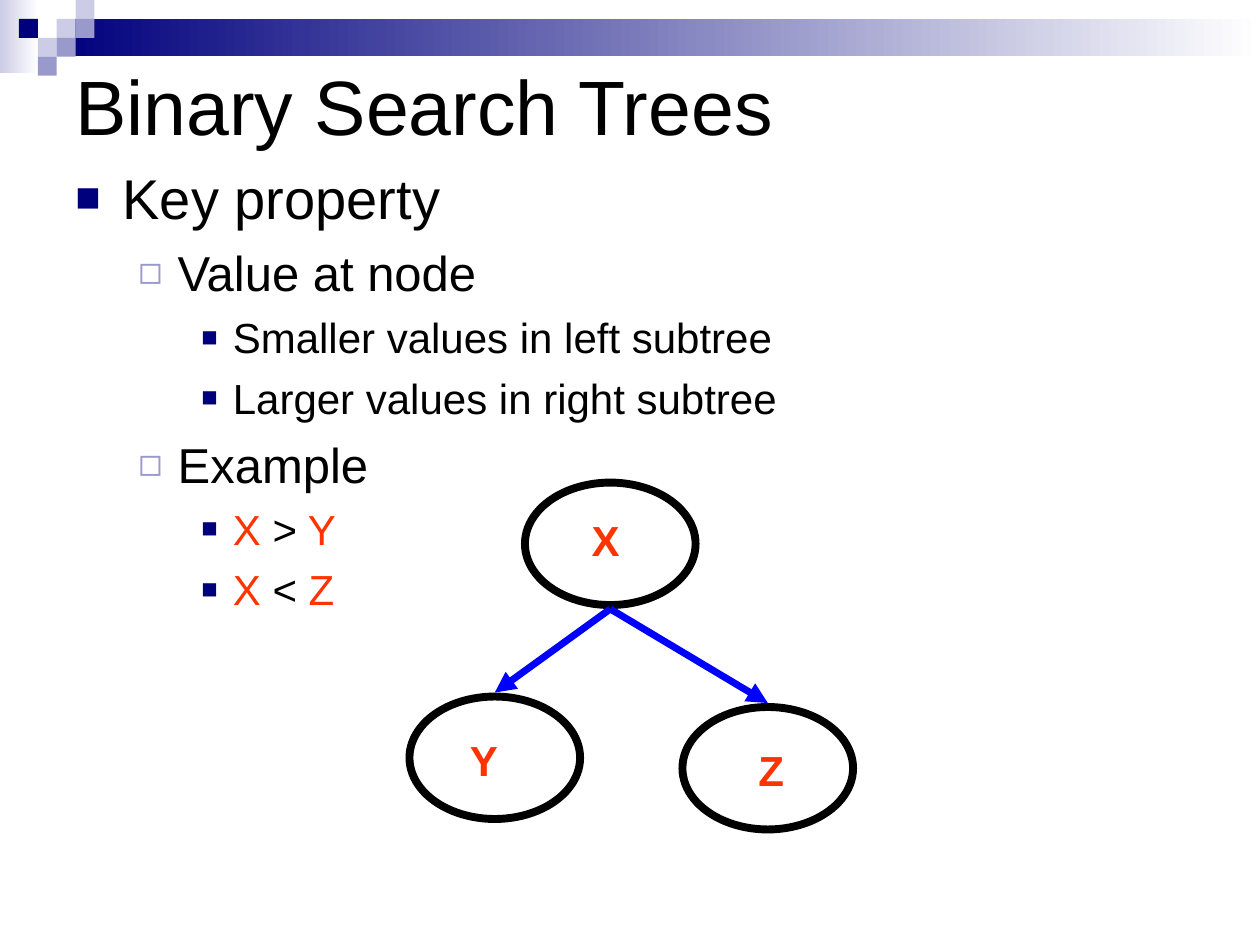
from dataclasses import dataclass

from lxml import etree
from pptx import Presentation
from pptx.dml.color import RGBColor as RGB
from pptx.enum.shapes import MSO_CONNECTOR as CONN, MSO_SHAPE as SHAPE
from pptx.enum.text import MSO_ANCHOR as ANCHOR, MSO_AUTO_SIZE as AUTO, PP_ALIGN as ALIGN
from pptx.oxml.ns import qn
from pptx.util import Pt


@dataclass(frozen=True)
class Theme:
    font: str = "Arial"
    ink: str = "000000"
    paper: str = "FFFFFF"
    navy: str = "00007D"
    mid: str = "9999CC"
    pale: str = "CCCCE6"
    accent: str = "FF3300"
    edge: str = "0000FF"
    title: int = 44
    levels: tuple = (32, 28, 24)
    label: int = 24
    node_line: float = 4.5
    edge_line: float = 4


T = Theme()

# Per level: left margin, hanging indent, bullet, bullet colour, bullet percent
BULLETS = [
    (27, 27, "■", T.navy, 75),
    (58.5, 22.5, "◻", T.mid, 80),
    (90, 18, "■", T.navy, 65),
]
SPACE_BEFORE = 0.24  # share of the type size

OUTLINE = [
    (0, [("Key property", T.ink)]),
    (1, [("Value at node", T.ink)]),
    (2, [("Smaller values in left subtree", T.ink)]),
    (2, [("Larger values in right subtree", T.ink)]),
    (1, [("Example", T.ink)]),
    (2, [("X ", T.accent), (">", T.ink), (" Y", T.accent)]),
    (2, [("X ", T.accent), ("<", T.ink), (" Z", T.accent)]),
]

# Checker squares: column, row, colour
SQUARE = 10.8
CHECKER = [
    (3, 1, T.pale), (4, 0, T.pale), (4, 1, T.mid), (2, 2, T.pale),
    (1, 1, T.navy), (3, 2, T.mid), (2, 3, T.mid),
]

# Tree nodes: left and top of the ellipse, then left, top and width of the label
NODE_W, NODE_H, LABEL_H = 97.5, 70, 36
NODES = {
    "X": ((300, 275.75), (311.75, 290.25, 68.5)),
    "Y": ((234, 398), (252, 416.25, 49)),
    "Z": ((390, 404), (401.75, 422, 77.75)),
}
EDGES = [("X", "Z"), ("X", "Y")]


def add_block(s, x, y, w, h, color, fade_to=None):
    sp = s.shapes.add_shape(SHAPE.RECTANGLE, Pt(x), Pt(y), Pt(w), Pt(h))
    sp.shadow.inherit = False
    sp.line.fill.background()
    if fade_to:
        sp.fill.gradient()
        sp.fill.gradient_angle = 0
        for stop, c in zip(sp.fill.gradient_stops, (color, fade_to)):
            stop.color.rgb = RGB.from_string(c)
    else:
        sp.fill.solid()
        sp.fill.fore_color.rgb = RGB.from_string(color)


def add_box(s, x, y, w, h, anchor=ANCHOR.TOP):
    tf = s.shapes.add_textbox(Pt(x), Pt(y), Pt(w), Pt(h)).text_frame
    tf.word_wrap = True
    tf.vertical_anchor = anchor
    return tf


def add_run(p, text, size, color, bold=False):
    r = p.add_run()
    r.text = text
    r.font.name = T.font
    r.font.size = Pt(size)
    r.font.bold = bold
    r.font.color.rgb = RGB.from_string(color)


def set_bullet(p, level):
    margin, hang, char, color, percent = BULLETS[level]
    pPr = p._p.get_or_add_pPr()
    pPr.set("marL", str(Pt(margin)))
    pPr.set("indent", str(-Pt(hang)))
    clr = etree.SubElement(pPr, qn("a:buClr"))
    etree.SubElement(clr, qn("a:srgbClr"), val=color)
    etree.SubElement(pPr, qn("a:buSzPct"), val=str(percent * 1000))
    etree.SubElement(pPr, qn("a:buFont"), typeface=T.font)
    etree.SubElement(pPr, qn("a:buChar"), char=char)


def add_outline(s, x, y, w, h):
    tf = add_box(s, x, y, w, h)
    for i, (level, runs) in enumerate(OUTLINE):
        p = tf.add_paragraph() if i else tf.paragraphs[0]
        p.level = level
        set_bullet(p, level)
        size = T.levels[level]
        if i:
            p.space_before = Pt(round(size * SPACE_BEFORE, 1))
        for text, color in runs:
            add_run(p, text, size, color)


def add_node(s, x, y):
    sp = s.shapes.add_shape(SHAPE.OVAL, Pt(x), Pt(y), Pt(NODE_W), Pt(NODE_H))
    sp.shadow.inherit = False
    sp.fill.background()
    sp.line.color.rgb = RGB.from_string(T.ink)
    sp.line.width = Pt(T.node_line)


def add_edge(s, parent, child):
    (x1, y1), (x2, y2) = NODES[parent][0], NODES[child][0]
    gap = T.node_line / 2  # start and stop at the outer rim
    ln = s.shapes.add_connector(
        CONN.STRAIGHT, Pt(x1 + NODE_W / 2), Pt(y1 + NODE_H + gap),
        Pt(x2 + NODE_W / 2), Pt(y2 - gap))
    ln.line.color.rgb = RGB.from_string(T.edge)
    ln.line.width = Pt(T.edge_line)
    etree.SubElement(ln.line._get_or_add_ln(), qn("a:tailEnd"), type="triangle")
    etree.SubElement(ln._element.spPr, qn("a:effectLst"))


def add_label(s, text, x, y, w):
    tf = add_box(s, x, y, w, LABEL_H)
    tf.auto_size = AUTO.SHAPE_TO_FIT_TEXT
    p = tf.paragraphs[0]
    p.alignment = ALIGN.CENTER
    add_run(p, text, T.label, T.accent, bold=True)


def main():
    prs = Presentation()
    prs.slide_width, prs.slide_height = Pt(720), Pt(540)
    s = prs.slides.add_slide(prs.slide_layouts[6])

    # Banner
    add_block(s, 0, 0, 22, 42, T.pale, T.paper)
    add_block(s, 32.5, 10.8, 687.5, 21.5, T.navy, T.paper)
    for col, row, color in CHECKER:
        add_block(s, col * SQUARE, row * SQUARE, SQUARE, SQUARE, color)

    # Title and outline
    tf = add_box(s, 36, 6, 648, 108, ANCHOR.MIDDLE)
    add_run(tf.paragraphs[0], "Binary Search Trees", T.title, T.ink)
    add_outline(s, 36, 90, 648, 306)

    # Tree
    for node, _ in NODES.values():
        add_node(s, *node)
    for parent, child in EDGES:
        add_edge(s, parent, child)
    for name, (_, label) in NODES.items():
        add_label(s, name, *label)

    prs.save("out.pptx")


if __name__ == "__main__":
    main()
